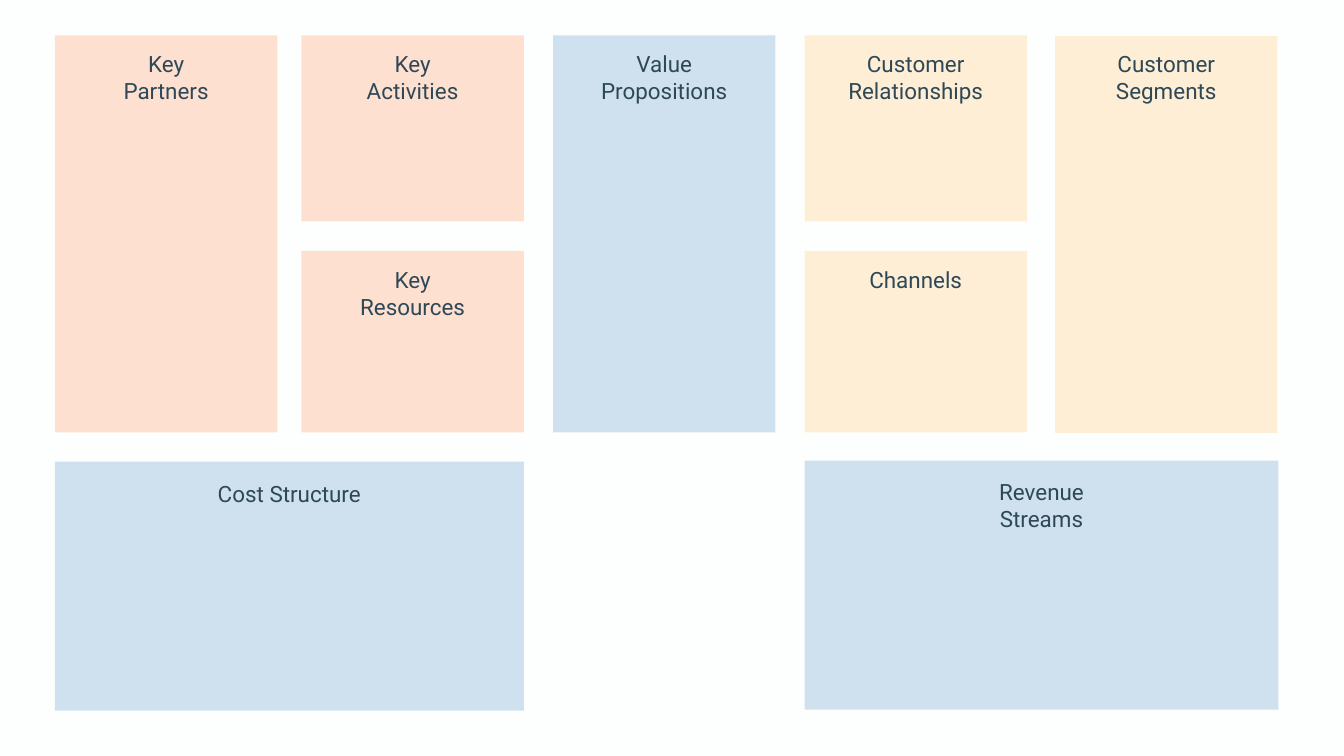
from pptx import Presentation
from pptx.dml.color import RGBColor
from pptx.enum import shapes, text
from pptx.util import Inches, Pt

BACKGROUND = RGBColor(0xFD, 0xFF, 0xFE)
INK = RGBColor(0x2F, 0x48, 0x57)
BLUE = RGBColor(0xCF, 0xE1, 0xEE)
PEACH = RGBColor(0xFD, 0xE0, 0xD0)
CREAM = RGBColor(0xFD, 0xEE, 0xD5)

# Column left edges, left to right
PARTNERS, ACTIVITIES, VALUE, RELATIONS, SEGMENTS = 1.09, 5.98, 10.97, 15.96, 20.93
COLUMN = 4.41
TOP, MIDDLE = 0.7, 4.98
TALL, UPPER, LOWER, BOTTOM = 7.88, 3.69, 3.6, 4.94
ONE_LINE, TWO_LINES = 0.64, 1.18

# heading, colour, left, top, width, height, heading offset, width and height
BLOCKS = [
    ("Value Propositions", BLUE, VALUE, TOP, COLUMN, TALL, 0.24, 3.45, TWO_LINES),
    ("Cost Structure", BLUE, PARTNERS, 9.16, 9.3, BOTTOM, 0.31, 3.51, ONE_LINE),
    ("Revenue Streams", BLUE, RELATIONS, 9.14, 9.4, BOTTOM, 0.3, 3.51, TWO_LINES),
    ("Key Partners", PEACH, PARTNERS, TOP, COLUMN, TALL, 0.24, 2.39, TWO_LINES),
    ("Key Activities", PEACH, ACTIVITIES, TOP, COLUMN, UPPER, 0.24, 2.63, TWO_LINES),
    ("Key Resources", PEACH, ACTIVITIES, MIDDLE, COLUMN, LOWER, 0.26, 2.85, TWO_LINES),
    ("Customer Segments", CREAM, SEGMENTS, 0.71, COLUMN, TALL, 0.24, 2.39, TWO_LINES),
    ("Customer Relationships", CREAM, RELATIONS, TOP, COLUMN, UPPER, 0.24, 2.91, TWO_LINES),
    ("Channels", CREAM, RELATIONS, MIDDLE, COLUMN, LOWER, 0.26, 2.85, ONE_LINE),
]

prs = Presentation()
prs.slide_width = Inches(26.66)
prs.slide_height = Inches(15)
canvas = prs.slides.add_slide(prs.slide_layouts[6])
canvas.background.fill.solid()
canvas.background.fill.fore_color.rgb = BACKGROUND

for name, colour, left, top, width, height, offset, name_width, name_height in BLOCKS:
    block = canvas.shapes.add_shape(
        shapes.MSO_SHAPE.ROUNDED_RECTANGLE,
        Inches(left), Inches(top), Inches(width), Inches(height))
    block.adjustments[0] = 0
    block.shadow.inherit = False
    block.fill.solid()
    block.fill.fore_color.rgb = colour
    block.line.fill.background()

    # The heading is centred across its block
    heading = canvas.shapes.add_textbox(
        Inches(left + (width - name_width) / 2), Inches(top + offset),
        Inches(name_width), Inches(name_height))
    frame = heading.text_frame
    frame.word_wrap = True
    frame.auto_size = text.MSO_AUTO_SIZE.SHAPE_TO_FIT_TEXT
    paragraph = frame.paragraphs[0]
    paragraph.alignment = text.PP_ALIGN.CENTER
    run = paragraph.add_run()
    run.text = name
    run.font.name = "Roboto"
    run.font.size = Pt(32)
    run.font.color.rgb = INK

prs.save("out.pptx")
